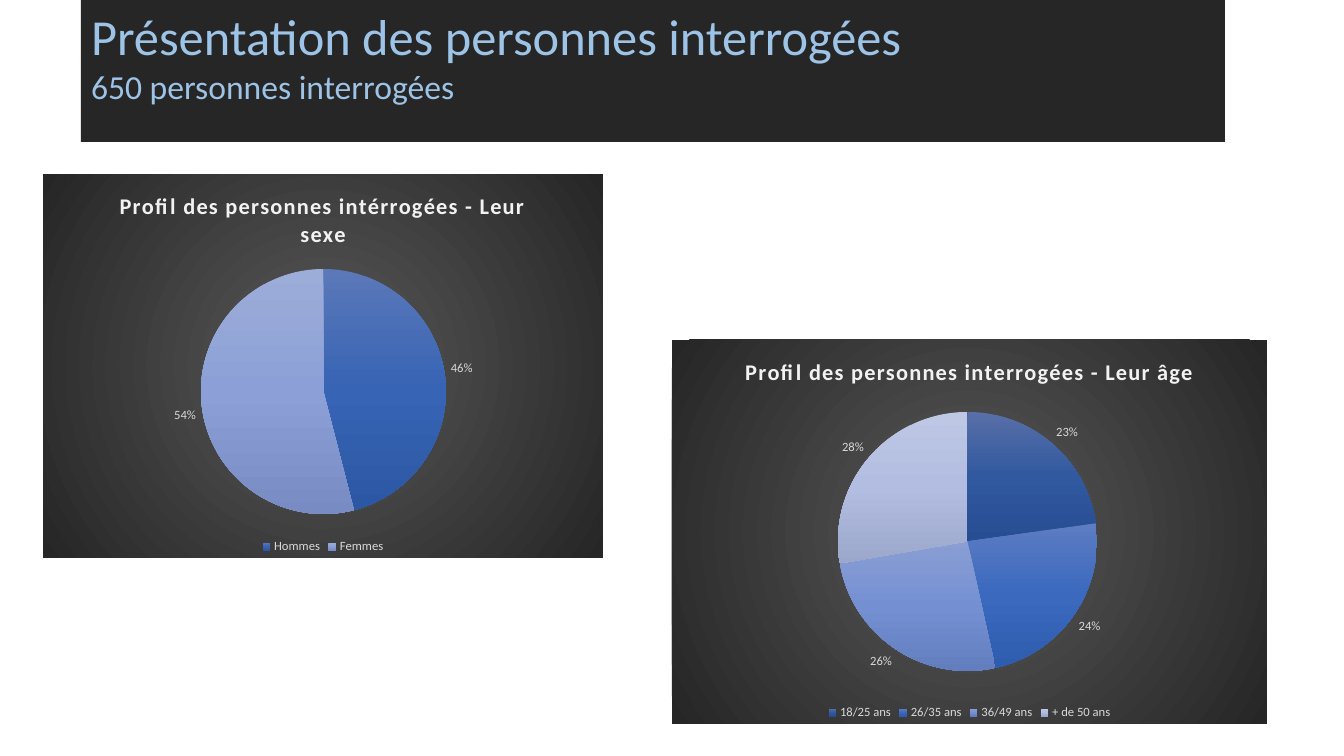
from pptx import Presentation
from pptx.chart.data import CategoryChartData
from pptx.dml.color import RGBColor
from pptx.enum.chart import XL_CHART_TYPE as ChartType
from pptx.enum.chart import XL_LABEL_POSITION as LabelPosition
from pptx.enum.chart import XL_LEGEND_POSITION as LegendPosition
from pptx.enum.text import MSO_ANCHOR as Anchor
from pptx.enum.text import PP_ALIGN as Align
from pptx.oxml import parse_xml
from pptx.oxml.ns import nsdecls
from pptx.util import Pt

EMU_PER_PX = 914400 / 100.8
FONT = "Calibri"
DARK = RGBColor(0x26, 0x26, 0x26)
GREY = RGBColor(0x59, 0x59, 0x59)
SKY = RGBColor(0x9D, 0xC3, 0xE6)
PALE = RGBColor(0xD9, 0xD9, 0xD9)
OFF_WHITE = RGBColor(0xF2, 0xF2, 0xF2)

MEN = [RGBColor(0x5B, 0x78, 0xB9), RGBColor(0x37, 0x64, 0xB4), RGBColor(0x2C, 0x57, 0xA5)]
WOMEN = [RGBColor(0x9D, 0xAD, 0xD9), RGBColor(0x8C, 0xA0, 0xD7), RGBColor(0x78, 0x8C, 0xC3)]
AGE_18 = [RGBColor(0x58, 0x6F, 0xA7), RGBColor(0x31, 0x59, 0xA0), RGBColor(0x27, 0x4D, 0x92)]
AGE_26 = [RGBColor(0x5D, 0x7C, 0xC2), RGBColor(0x3A, 0x69, 0xBE), RGBColor(0x2E, 0x5C, 0xAE)]
AGE_36 = [RGBColor(0x8A, 0x9E, 0xD4), RGBColor(0x75, 0x90, 0xD2), RGBColor(0x63, 0x7E, 0xBF)]
AGE_50 = [RGBColor(0xBE, 0xC7, 0xE4), RGBColor(0xB2, 0xBD, 0xE1), RGBColor(0x9B, 0xA7, 0xCB)]

SEXES = [("Hommes", 46, MEN), ("Femmes", 54, WOMEN)]
AGES = [
    ("18/25 ans", 23, AGE_18),
    ("26/35 ans", 24, AGE_26),
    ("36/49 ans", 26, AGE_36),
    ("+ de 50 ans", 28, AGE_50),
]


def px(length):
    return round(length * EMU_PER_PX)


def set_font(font, size, color, bold=False):
    font.name = FONT
    font.size = Pt(size)
    font.bold = bold
    font.color.rgb = color


def gradient_xml(colors, direction):
    step = 100000 // (len(colors) - 1)
    stops = "".join(
        f'<a:gs pos="{index * step}"><a:srgbClr val="{color}"/></a:gs>'
        for index, color in enumerate(colors)
    )
    return f'<a:gradFill {nsdecls("a")}><a:gsLst>{stops}</a:gsLst>{direction}</a:gradFill>'


def add_header(slide, box, lines):
    title = slide.shapes.title
    title.left, title.top, title.width, title.height = map(px, box)
    title.fill.solid()
    title.fill.fore_color.rgb = DARK
    frame = title.text_frame
    frame.text = "\n".join(text for text, size in lines)
    frame.word_wrap = True
    frame.vertical_anchor = Anchor.TOP
    for paragraph, (text, size) in zip(frame.paragraphs, lines):
        paragraph.alignment = Align.LEFT
        set_font(paragraph.runs[0].font, size, SKY)


def set_chart_background(chart):
    direction = (
        '<a:path path="circle"><a:fillToRect l="50000" t="50000" r="50000" b="50000"/></a:path>'
    )
    background = parse_xml(
        f'<c:spPr {nsdecls("c", "a")}>{gradient_xml([GREY, DARK], direction)}'
        "<a:ln><a:noFill/></a:ln></c:spPr>"
    )
    chart.element.find("{*}chart").addnext(background)


def set_pie_position(chart, box, pie):
    left, top, width, height = box
    pie_left, pie_top, diameter = pie
    fractions = {
        "x": pie_left / width,
        "y": pie_top / height,
        "w": diameter / width,
        "h": diameter / height,
    }
    modes = '<c:xMode val="edge"/><c:yMode val="edge"/>'
    values = "".join(f'<c:{key} val="{value:.4f}"/>' for key, value in fractions.items())
    layout = parse_xml(
        f'<c:layout {nsdecls("c")}><c:manualLayout><c:layoutTarget val="inner"/>'
        f"{modes}{values}</c:manualLayout></c:layout>"
    )
    plot_area = chart.element.find(".//{*}plotArea")
    for previous in plot_area.findall("{*}layout"):
        plot_area.remove(previous)
    plot_area.insert(0, layout)


def color_slices(chart, gradients):
    series = chart.plots[0].series[0]
    for index in range(len(gradients)):
        slice_format = series.points[index].format
        slice_format.fill.background()
        slice_format.line.fill.background()
    empty_fills = chart.element.findall(".//{*}dPt/{*}spPr/{*}noFill")
    for empty_fill, colors in zip(empty_fills, gradients):
        gradient = parse_xml(gradient_xml(colors, '<a:lin ang="5400000" scaled="0"/>'))
        empty_fill.getparent().replace(empty_fill, gradient)


def add_profile_pie(slide, box, pie, title, groups):
    names, values, gradients = zip(*groups)
    data = CategoryChartData()
    data.categories = names
    data.add_series("Series 1", values)
    chart = slide.shapes.add_chart(ChartType.PIE, *map(px, box), data).chart
    chart.font.name = FONT
    chart.font.size = Pt(10)

    chart.has_title = True
    chart.chart_title.include_in_layout = False
    chart.chart_title.text_frame.text = title
    run = chart.chart_title.text_frame.paragraphs[0].runs[0]
    set_font(run.font, 16, OFF_WHITE, bold=True)
    run.font._element.set("spc", "100")

    chart.has_legend = True
    chart.legend.position = LegendPosition.BOTTOM
    chart.legend.include_in_layout = False
    set_font(chart.legend.font, 9, PALE)

    plot = chart.plots[0]
    plot.vary_by_categories = True
    plot.has_data_labels = True
    labels = plot.data_labels
    labels.show_value = False
    labels.show_percentage = True
    labels.number_format = "0%"
    labels.number_format_is_linked = False
    labels.position = LabelPosition.OUTSIDE_END
    set_font(labels.font, 9, PALE)

    color_slices(chart, gradients)
    set_pie_position(chart, box, pie)
    set_chart_background(chart)


def main():
    presentation = Presentation()
    presentation.slide_width = px(1344)
    presentation.slide_height = px(756)
    slide = presentation.slides.add_slide(presentation.slide_layouts[5])
    add_header(
        slide,
        (81, 0, 1144, 142),
        [("Présentation des personnes interrogées", 36), ("650 personnes interrogées", 24)],
    )
    add_profile_pie(
        slide,
        (43, 174, 560, 384),
        (158, 95, 245),
        "Profil des personnes intérrogées - Leur sexe",
        SEXES,
    )
    add_profile_pie(
        slide,
        (672, 340, 595, 384),
        (166, 72, 259),
        "Profil des personnes interrogées - Leur âge",
        AGES,
    )
    presentation.save("out.pptx")


if __name__ == "__main__":
    main()
